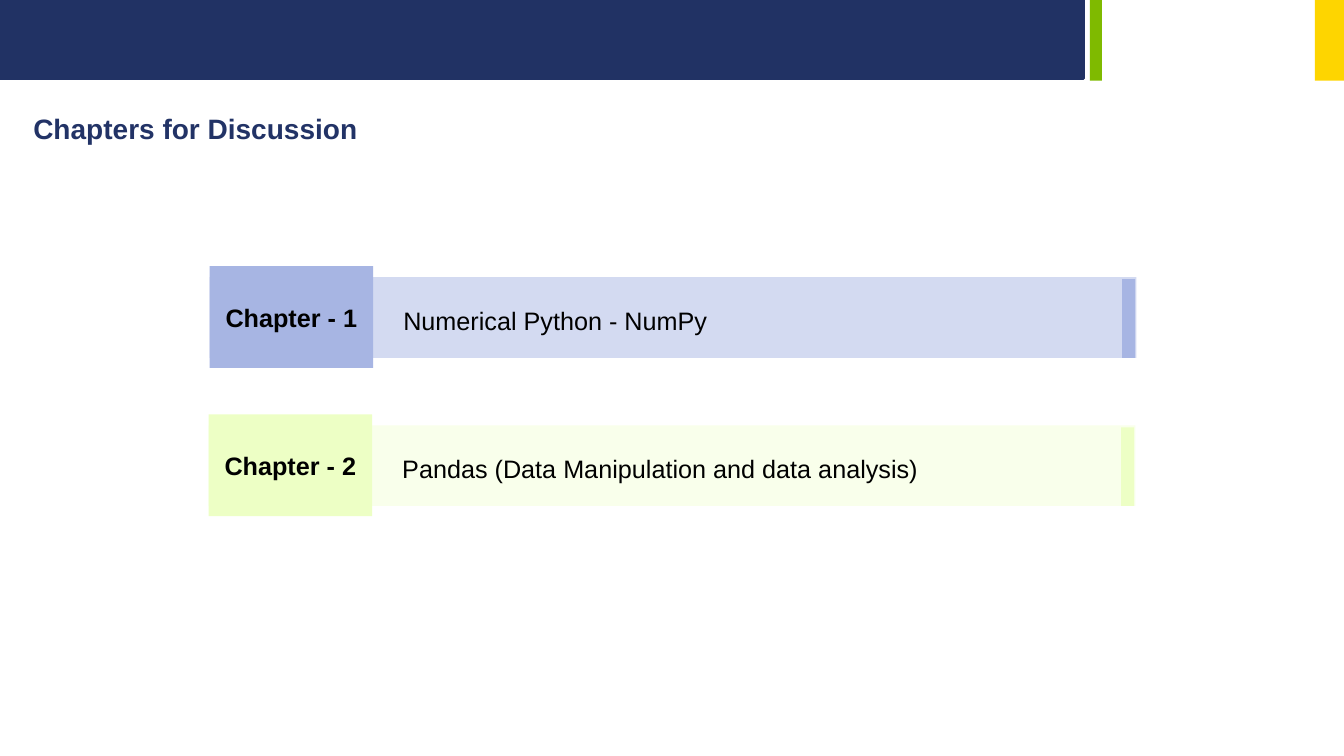
from pptx import Presentation
from pptx.dml.color import RGBColor
from pptx.enum.shapes import MSO_SHAPE as Shape
from pptx.enum.text import MSO_ANCHOR as Anchor, PP_ALIGN as Align
from pptx.util import Inches, Pt

COLORS = {
    "navy": "213264", "green": "7FBA00", "yellow": "FED500",
    "title": "223366", "text": "000000",
    "blue": "A7B5E3", "pale blue": "D3DAF1",
    "lime": "EDFFC5", "pale lime": "F9FFEB",
}
CHAPTERS = [
    ("Chapter - 1", "Numerical Python - NumPy", "blue", 2.08),
    ("Chapter - 2", "Pandas (Data Manipulation and data analysis)", "lime", 2.07),
]
FIRST_TOP, ROW_STEP = 2.64, 1.47


class ChapterPage:
    """Draws the elements of the chapter overview on one slide."""

    def __init__(self, deck, font="Arial"):
        self.page = deck.slides.add_slide(deck.slide_layouts[5])
        self.font = font

    def color(self, name):
        return RGBColor.from_string(COLORS[name])

    def set_text(self, shape, text, size, color="text", bold=False, align=Align.LEFT):
        frame = shape.text_frame
        frame.word_wrap = True
        frame.vertical_anchor = Anchor.TOP
        frame.margin_left = frame.margin_right = Inches(0.13)
        frame.margin_top = frame.margin_bottom = Inches(0.07)
        para = frame.paragraphs[0]
        para.alignment = align
        span = para.add_run()
        span.text = text
        span.font.name = self.font
        span.font.size = Pt(size)
        span.font.bold = bold
        span.font.color.rgb = self.color(color)

    def title(self, text, left, top, width, height):
        box = self.page.shapes.title
        box.left, box.top = Inches(left), Inches(top)
        box.width, box.height = Inches(width), Inches(height)
        self.set_text(box, text, 20, "title", bold=True)

    def block(self, shapes, fill, left, top, width, height, outline=None):
        block = shapes.add_shape(Shape.RECTANGLE, Inches(left), Inches(top),
                                 Inches(width), Inches(height))
        block.shadow.inherit = False
        block.fill.solid()
        block.fill.fore_color.rgb = self.color(fill)
        if outline:
            block.line.color.rgb = self.color(fill)
            block.line.width = Pt(outline)
        else:
            block.line.fill.background()

    def label(self, shapes, text, left, top, width, **style):
        box = shapes.add_textbox(Inches(left), Inches(top), Inches(width), Inches(0.44))
        self.set_text(box, text, 18, **style)

    def header(self):
        shapes = self.page.shapes
        self.block(shapes, "navy", 0, 0, 10.75, 0.78, outline=2)
        self.block(shapes, "green", 10.81, 0, 0.12, 0.8)
        self.block(shapes, "yellow", 13.04, 0, 0.29, 0.8)

    def chapter(self, name, topic, hue, left, top):
        shapes = self.page.shapes.add_group_shape().shapes
        self.block(shapes, f"pale {hue}", left, top + 0.11, 9.19, 0.8)
        self.block(shapes, hue, left, top, 1.62, 1.01)
        self.label(shapes, name, left, top + 0.29, 1.62, bold=True, align=Align.CENTER)
        self.label(shapes, topic, left + 1.79, top + 0.32, 7)
        self.block(shapes, hue, left + 9.05, top + 0.13, 0.13, 0.78)


def main():
    deck = Presentation()
    deck.slide_width, deck.slide_height = Inches(13.33), Inches(7.5)
    page = ChapterPage(deck)
    page.header()
    page.title("Chapters for Discussion", 0.2, 1.04, 4.64, 0.47)
    for row, chapter in enumerate(CHAPTERS):
        page.chapter(*chapter, FIRST_TOP + row * ROW_STEP)
    deck.save("out.pptx")


if __name__ == "__main__":
    main()
